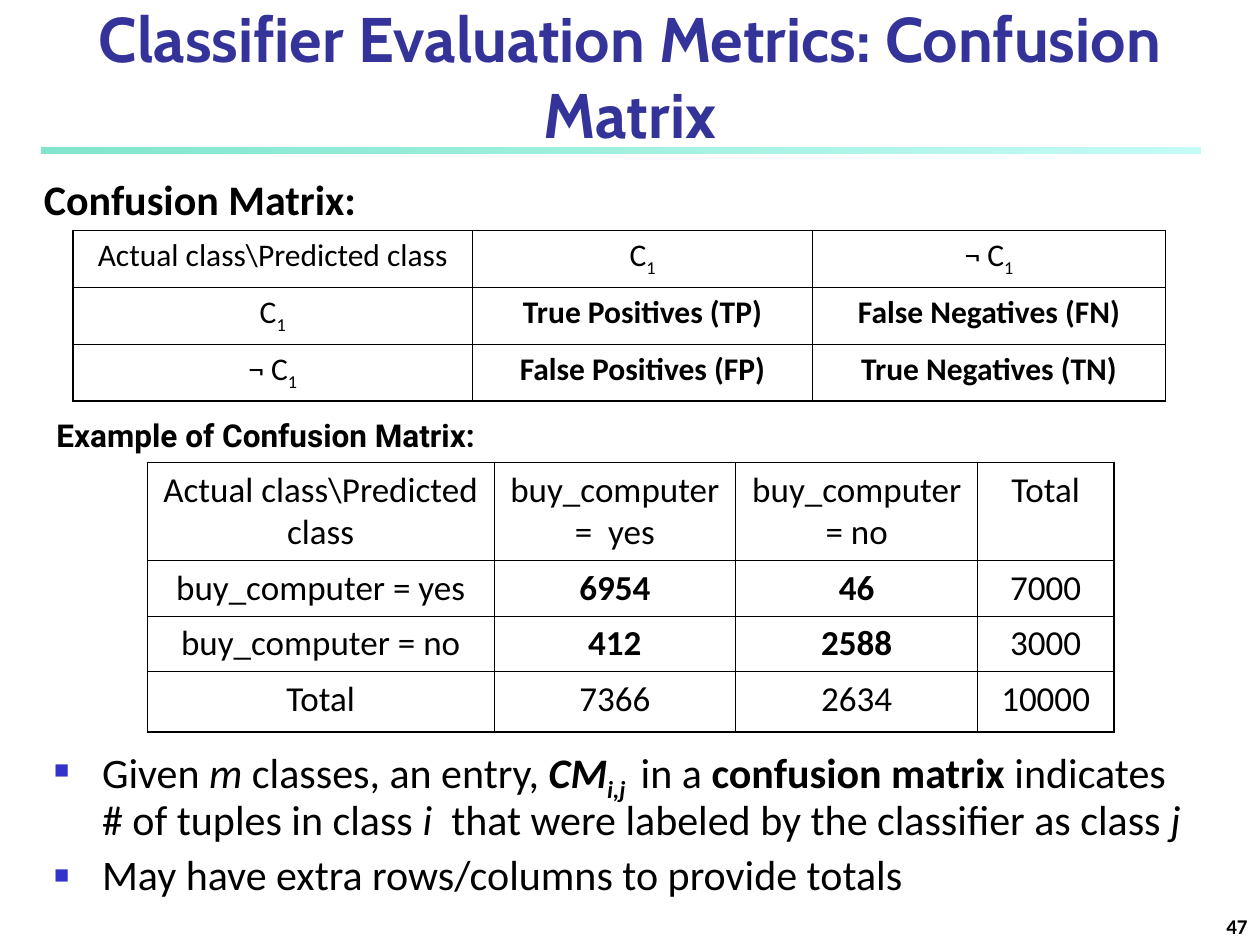
from dataclasses import dataclass

from lxml import etree
from pptx import Presentation
from pptx.dml.color import RGBColor
from pptx.enum.shapes import MSO_SHAPE
from pptx.enum.text import MSO_ANCHOR, MSO_AUTO_SIZE, PP_ALIGN
from pptx.oxml.ns import qn
from pptx.util import Inches, Pt

LEFT, CENTER, RIGHT = PP_ALIGN.LEFT, PP_ALIGN.CENTER, PP_ALIGN.RIGHT
TOP, BOTTOM = MSO_ANCHOR.TOP, MSO_ANCHOR.BOTTOM
NO_AUTOFIT = MSO_AUTO_SIZE.NONE
RECTANGLE = MSO_SHAPE.RECTANGLE


@dataclass(frozen=True)
class Theme:
    title_font: str = "Cabin"
    body_font: str = "Calibri"
    caption_font: str = "Roboto"
    title_color: str = "333399"
    text_color: str = "000000"
    bullet_color: str = "3333CC"
    # Each gradient stop is a colour and its opacity in percent.
    rule_stops: tuple = (("00CE98", 50), ("8FF9EF", 52))
    title_size: float = 36
    body_size: float = 24
    example_size: float = 20
    table_size: float = 18
    number_size: float = 12
    outer_border: float = 1.08
    inner_border: float = 0.45


THEME = Theme()
SUBSCRIPT = "-25000"


def add_element(parent, tag, **attributes):
    return etree.SubElement(parent, qn(tag), attributes)


def write_runs(paragraph, runs, size, font=THEME.body_font, color=THEME.text_color):
    """Write (text, style) pairs; style letters are b bold, i italic, s subscript."""
    for text, style in runs:
        run = paragraph.add_run()
        run.text = text
        values = {"name": font, "size": Pt(size), "bold": "b" in style, "italic": "i" in style}
        for name, value in values.items():
            setattr(run.font, name, value)
        run.font.color.rgb = RGBColor.from_string(color)
        if "s" in style:
            run.font._element.set("baseline", SUBSCRIPT)


def place(shape, box):
    for name, value in zip(("left", "top", "width", "height"), box):
        setattr(shape, name, Inches(value))


def format_frame(text_frame, anchor, wrap=True):
    values = {"auto_size": NO_AUTOFIT, "word_wrap": wrap, "vertical_anchor": anchor}
    for name, value in values.items():
        setattr(text_frame, name, value)


def add_title(slide, box, text):
    title = slide.shapes.title
    place(title, box)
    format_frame(title.text_frame, BOTTOM)
    paragraph = title.text_frame.paragraphs[0]
    paragraph.alignment = CENTER
    write_runs(paragraph, [(text, "b")], THEME.title_size, THEME.title_font, THEME.title_color)


def add_title_rule(slide, box):
    rule = slide.shapes.add_shape(RECTANGLE, *map(Inches, box))
    rule.shadow.inherit = False
    rule.line.fill.background()
    rule.fill.gradient()
    rule.fill.gradient_angle = 0
    for stop, (color, _) in zip(rule.fill.gradient_stops, THEME.rule_stops):
        stop.color.rgb = RGBColor.from_string(color)
    for element, (_, opacity) in zip(rule._element.iter(qn("a:srgbClr")), THEME.rule_stops):
        add_element(element, "a:alpha", val=str(opacity * 1000))


def add_label(slide, box, text, size, font=THEME.body_font, alignment=LEFT, anchor=TOP, wrap=True):
    label = slide.shapes.add_textbox(*map(Inches, box))
    format_frame(label.text_frame, anchor, wrap)
    paragraph = label.text_frame.paragraphs[0]
    paragraph.alignment = alignment
    write_runs(paragraph, [(text, "b")], size, font)


def set_borders(cell, outer_sides):
    properties = cell._tc.get_or_add_tcPr()
    for side in "LRTB":
        width = THEME.outer_border if side in outer_sides else THEME.inner_border
        line = add_element(properties, f"a:ln{side}", w=str(Pt(width)))
        add_element(add_element(line, "a:solidFill"), "a:srgbClr", val=THEME.text_color)


def add_matrix(slide, origin, column_widths, row_heights, rows, size):
    """Add a centred grid with a heavier outline; each cell is a list of runs."""
    box = (*origin, sum(column_widths), sum(row_heights))
    table = slide.shapes.add_table(len(rows), len(column_widths), *map(Inches, box)).table
    table.first_row = table.horz_banding = False
    for column, width in zip(table.columns, column_widths):
        column.width = Inches(width)
    for row, height in zip(table.rows, row_heights):
        row.height = Inches(height)
    last_row, last_column = len(rows) - 1, len(column_widths) - 1
    for row_index, row in enumerate(rows):
        for column_index, runs in enumerate(row):
            cell = table.cell(row_index, column_index)
            edges = {"L": column_index == 0, "R": column_index == last_column,
                     "T": row_index == 0, "B": row_index == last_row}
            set_borders(cell, [side for side, is_outer in edges.items() if is_outer])
            cell.fill.background()
            paragraph = cell.text_frame.paragraphs[0]
            paragraph.alignment = CENTER
            write_runs(paragraph, runs, size)


def add_bullets(slide, box, items):
    body = slide.placeholders[1]
    place(body, box)
    text_frame = body.text_frame
    format_frame(text_frame, TOP)
    for index, runs in enumerate(items):
        paragraph = text_frame.add_paragraph() if index else text_frame.paragraphs[0]
        properties = paragraph._p.get_or_add_pPr()
        properties.set("marL", str(Inches(0.38)))
        properties.set("indent", str(Inches(-0.38)))
        add_element(add_element(properties, "a:buClr"), "a:srgbClr", val=THEME.bullet_color)
        add_element(properties, "a:buSzPct", val="60000")
        add_element(properties, "a:buChar", char="■")
        paragraph.line_spacing = 0.9
        paragraph.space_before = Pt(6 if index else 0)
        write_runs(paragraph, runs, THEME.body_size)


def plain(*texts):
    return [[(text, "")] for text in texts]


def bold(*texts):
    return [[(text, "b")] for text in texts]


def main():
    presentation = Presentation()
    presentation.slide_width, presentation.slide_height = Inches(10), Inches(7.5)
    slide = presentation.slides.add_slide(presentation.slide_layouts[1])

    add_title_rule(slide, (0.33, 1.17, 9.2, 0.05))
    add_title(slide, (0, 0, 10, 1.25), "Classifier Evaluation Metrics: Confusion Matrix")

    corner = "Actual class\\Predicted class"
    positive = [("C", ""), ("1", "s")]
    negative = [("¬ C", ""), ("1", "s")]
    add_label(slide, (0.25, 1.33, 2.85, 0.5), "Confusion Matrix:", THEME.body_size)
    add_matrix(slide, (0.58, 1.83), (3.17, 2.7, 2.8), (0.45, 0.45, 0.45), [
        plain(corner) + [positive, negative],
        [positive] + bold("True Positives (TP)", "False Negatives (FN)"),
        [negative] + bold("False Positives (FP)", "True Negatives (TN)"),
    ], THEME.table_size)

    add_label(slide, (0.35, 3.25, 3.87, 0.4), "Example of Confusion Matrix:",
              THEME.table_size, THEME.caption_font, wrap=False)
    add_matrix(slide, (1.17, 3.67), (2.75, 1.92, 1.92, 1.08), (0.77, 0.43, 0.43, 0.48), [
        plain(corner, "buy_computer =  yes", "buy_computer = no", "Total"),
        plain("buy_computer = yes") + bold("6954", "46") + plain("7000"),
        plain("buy_computer = no") + bold("412", "2588") + plain("3000"),
        plain("Total", "7366", "2634", "10000"),
    ], THEME.example_size)

    add_bullets(slide, (0.33, 5.88, 9.25, 1.37), [
        [("Given", ""), (" m", "i"), (" classes, an entry, ", ""), ("CM", "bi"), ("i,j ", "bis"),
         (" in a ", ""), ("confusion matrix", "b"), (" indicates # of tuples in class ", ""),
         ("i", "i"), ("  that were labeled by the classifier as class ", ""), ("j", "i")],
        [("May have extra rows/columns to provide totals", "")],
    ])
    add_label(slide, (7.92, 7.08, 2.08, 0.42), "47", THEME.number_size,
              alignment=RIGHT, anchor=BOTTOM)

    presentation.save("out.pptx")


if __name__ == "__main__":
    main()
